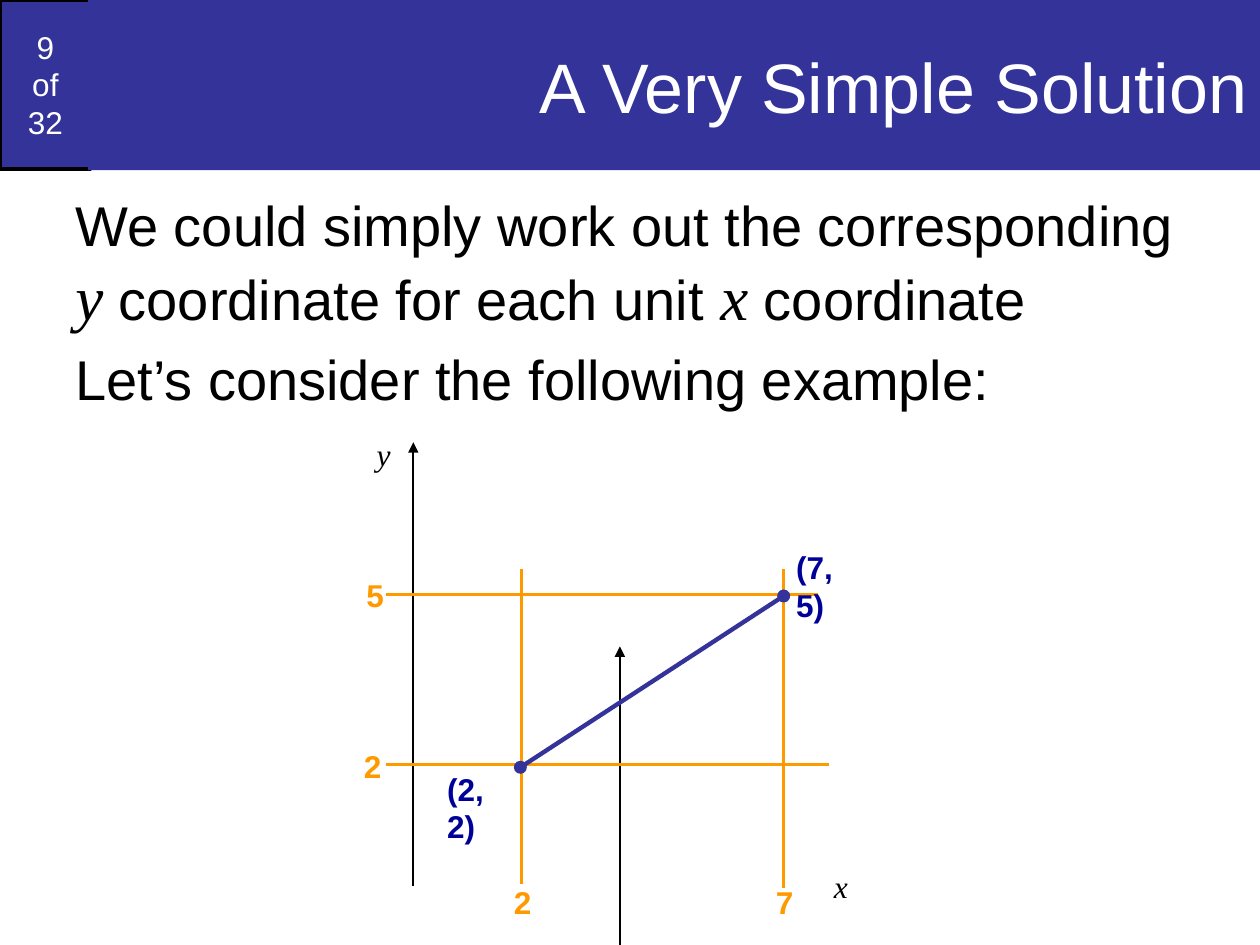
from lxml import etree
from pptx import Presentation
from pptx.dml.color import RGBColor
from pptx.enum.shapes import MSO_CONNECTOR, MSO_SHAPE
from pptx.enum.text import MSO_ANCHOR, MSO_AUTO_SIZE, PP_ALIGN
from pptx.oxml.ns import qn
from pptx.util import Inches, Pt

STRAIGHT = MSO_CONNECTOR.STRAIGHT
RECTANGLE = MSO_SHAPE.RECTANGLE
MIDDLE = MSO_ANCHOR.MIDDLE
NO_AUTOSIZE = MSO_AUTO_SIZE.NONE
CENTER, RIGHT = PP_ALIGN.CENTER, PP_ALIGN.RIGHT
SANS, SERIF = "Arial", "Times New Roman"
COLORS = {
    "band": "333399",
    "ink": "000000",
    "paper": "FFFFFF",
    "guide": "FF9900",
    "point": "000099",
}


def rgb(name):
    return RGBColor.from_string(COLORS[name])


def set_font(font, size, color, face=SANS, bold=False, italic=False):
    font.name = face
    font.size = Pt(size)
    font.bold = bold
    font.italic = italic
    font.color.rgb = rgb(color)


def add_line(slide, start, end, color, width, head=None, tail=None):
    line = slide.shapes.add_connector(
        STRAIGHT, *(Inches(value) for value in (*start, *end)))
    line.line.color.rgb = rgb(color)
    line.line.width = Pt(width)
    properties = line.element.spPr
    outline = properties.find(qn("a:ln"))
    for tag, kind in (("a:headEnd", head), ("a:tailEnd", tail)):
        if kind:
            etree.SubElement(outline, qn(tag), type=kind)
    etree.SubElement(properties, qn("a:effectLst"))


def add_label(slide, left, top, width, text, **style):
    label = slide.shapes.add_textbox(
        Inches(left), Inches(top), Inches(width), Inches(0.4))
    label.text_frame.word_wrap = False
    paragraph = label.text_frame.paragraphs[0]
    paragraph.text = text
    set_font(paragraph.font, 18, **style)


def add_header(slide, left, top, width, height):
    title = slide.shapes.title
    title.left, title.top = Inches(left + 0.7), Inches(top)
    title.width, title.height = Inches(width - 0.7), Inches(height)
    title.fill.solid()
    title.fill.fore_color.rgb = rgb("band")
    frame = title.text_frame
    frame.auto_size = NO_AUTOSIZE
    frame.vertical_anchor = MIDDLE
    heading = frame.paragraphs[0]
    heading.text = "A Very Simple Solution"
    heading.alignment = RIGHT
    set_font(heading.font, 40, "paper")

    counter = slide.shapes.add_shape(
        RECTANGLE, Inches(left), Inches(top), Inches(0.72), Inches(height - 0.01))
    counter.shadow.inherit = False
    counter.fill.solid()
    counter.fill.fore_color.rgb = rgb("band")
    counter.line.color.rgb = rgb("ink")
    counter.line.width = Pt(2)
    counter.text_frame.vertical_anchor = MIDDLE
    page = counter.text_frame.paragraphs[0]
    page.text = "9\vof\v32"
    page.alignment = CENTER
    set_font(page.font, 18, "paper")
    title.element.addprevious(counter.element)


def add_body(slide, left, top, width, height):
    body = slide.shapes.add_textbox(
        Inches(left), Inches(top), Inches(width), Inches(height))
    frame = body.text_frame
    frame.word_wrap = True
    statement = frame.paragraphs[0]
    for text, is_variable in (
        ("We could simply work out the corresponding ", False),
        ("y", True),
        (" coordinate for each unit ", False),
        ("x", True),
        (" coordinate", False),
    ):
        run = statement.add_run()
        run.text = text
        if is_variable:
            set_font(run.font, 36, "ink", SERIF, italic=True)
        else:
            set_font(run.font, 32, "ink")
    example = frame.add_paragraph()
    example.text = "Let’s consider the following example:"
    example.space_before = Pt(6.4)
    set_font(example.font, 32, "ink")


def add_graph(slide, left, top, width, height):
    def at(x, y):
        return left + x, top + y

    for x, y_tip, y_base in ((0.48, 0.11, 3.63), (2.12, 1.73, height)):
        add_line(slide, at(x, y_base), at(x, y_tip), "ink", 1, tail="triangle")
    for name, x, y in (("x", 3.72, 3.43), ("y", 0.09, 0)):
        add_label(slide, *at(x, y), 0.31, name,
                  color="ink", face=SERIF, italic=True)

    for y, x_end in ((2.67, 3.78), (1.32, 3.69)):
        add_line(slide, at(0.26, y), at(x_end, y), "guide", 1.5)
    for x, y_end in ((1.34, 3.62), (3.42, 3.65)):
        add_line(slide, at(x, 1.12), at(x, y_end), "guide", 1.5)

    add_line(slide, at(1.33, 2.69), at(3.42, 1.33), "band", 2.5,
             head="oval", tail="oval")
    for text, x, y in (("(2, 2)", 0.65, 2.66), ("(7, 5)", width - 0.78, 0.9)):
        add_label(slide, *at(x, y), 0.78, text, color="point", bold=True)
    for text, x, y in (("2", 1.18, 3.56), ("7", 3.26, 3.56),
                       ("2", -0.01, 2.48), ("5", 0.01, 1.12)):
        add_label(slide, *at(x, y), 0.34, text, color="guide", bold=True)


def main():
    deck = Presentation()
    deck.slide_width, deck.slide_height = Inches(10), Inches(7.5)
    slide = deck.slides.add_slide(deck.slide_layouts[5])
    add_header(slide, 0, 0, 10, 1.35)
    add_body(slide, 0.5, 1.46, 9, 6.04)
    add_graph(slide, 2.8, 3.4, 4.2, 4.1)
    deck.save("out.pptx")


if __name__ == "__main__":
    main()
